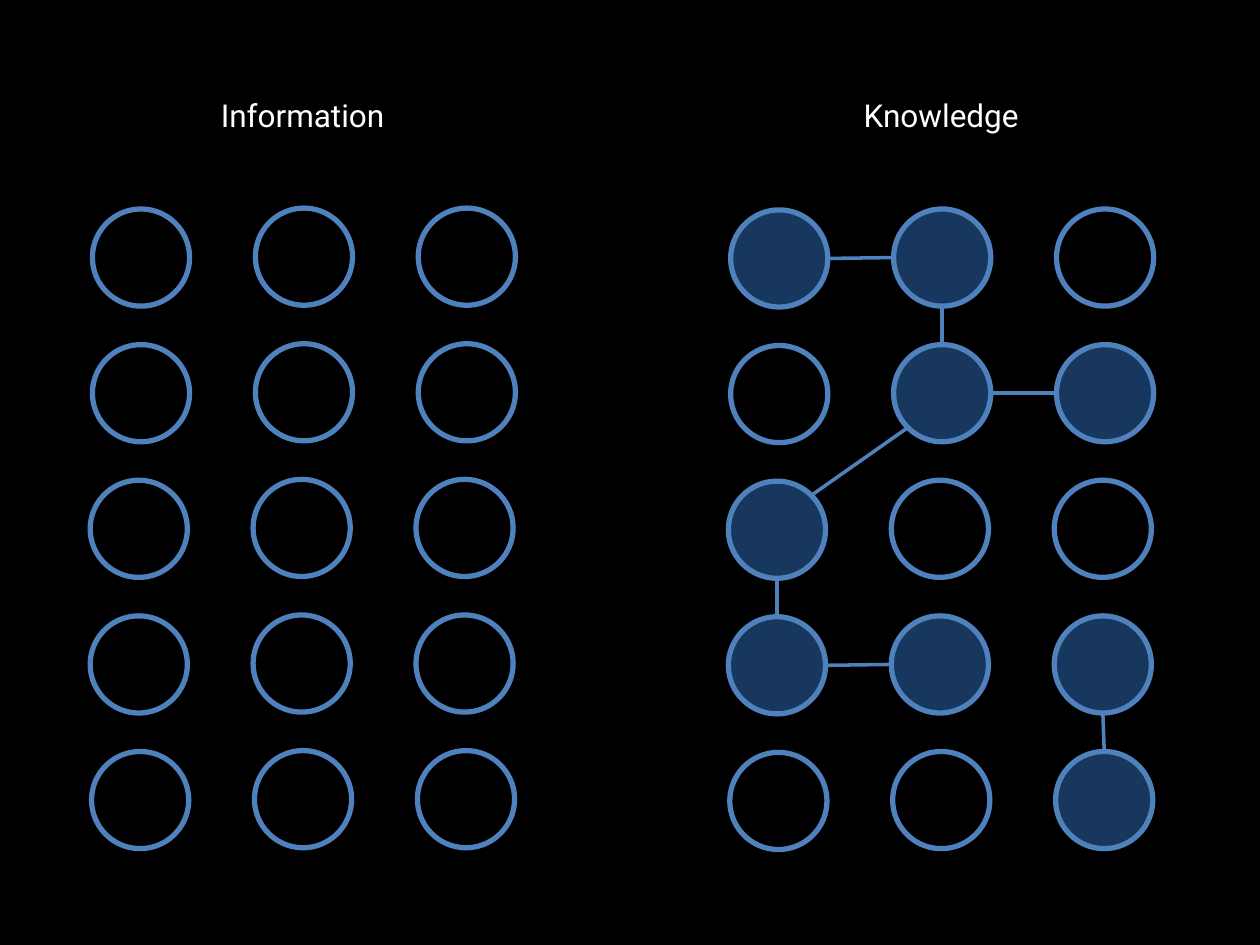
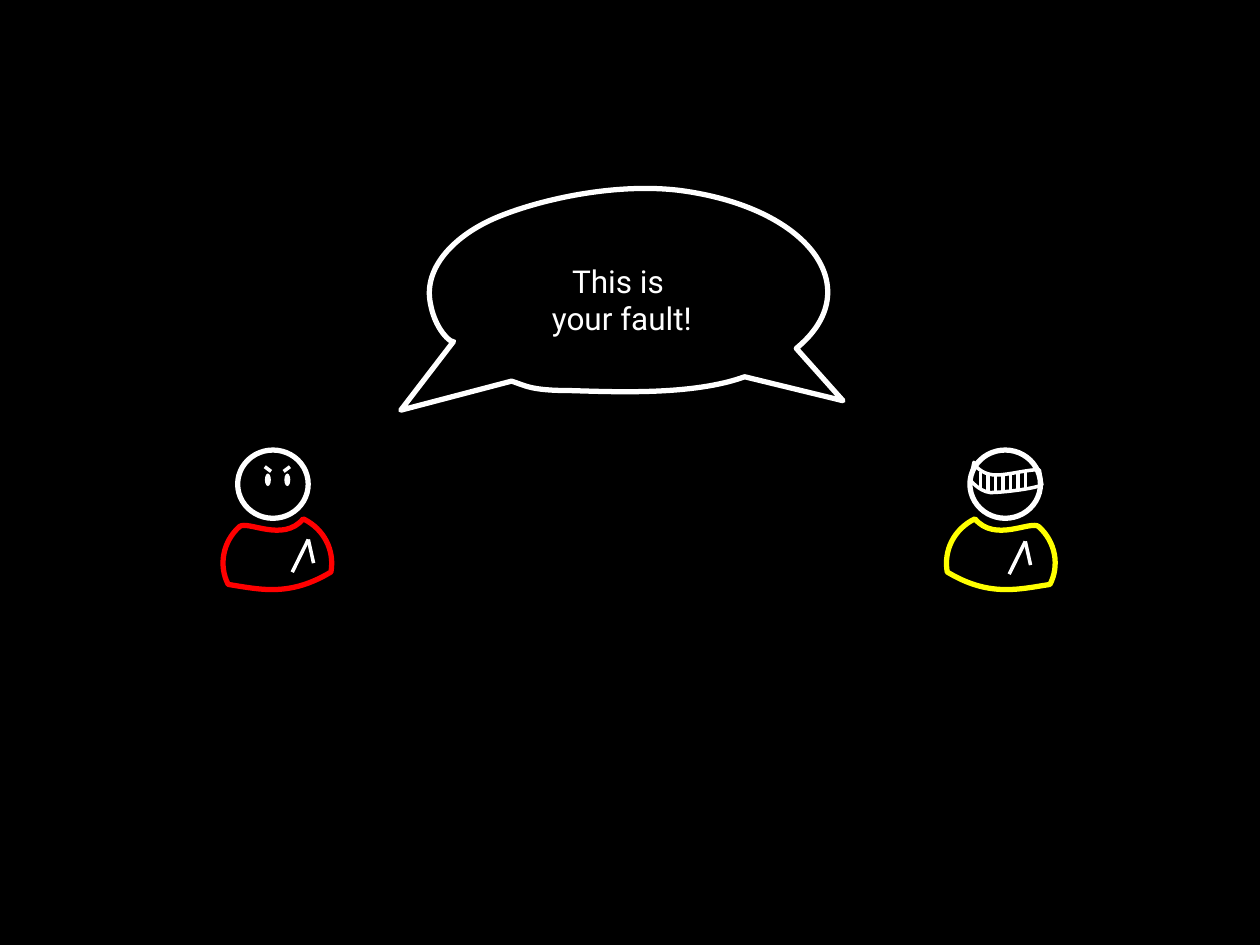
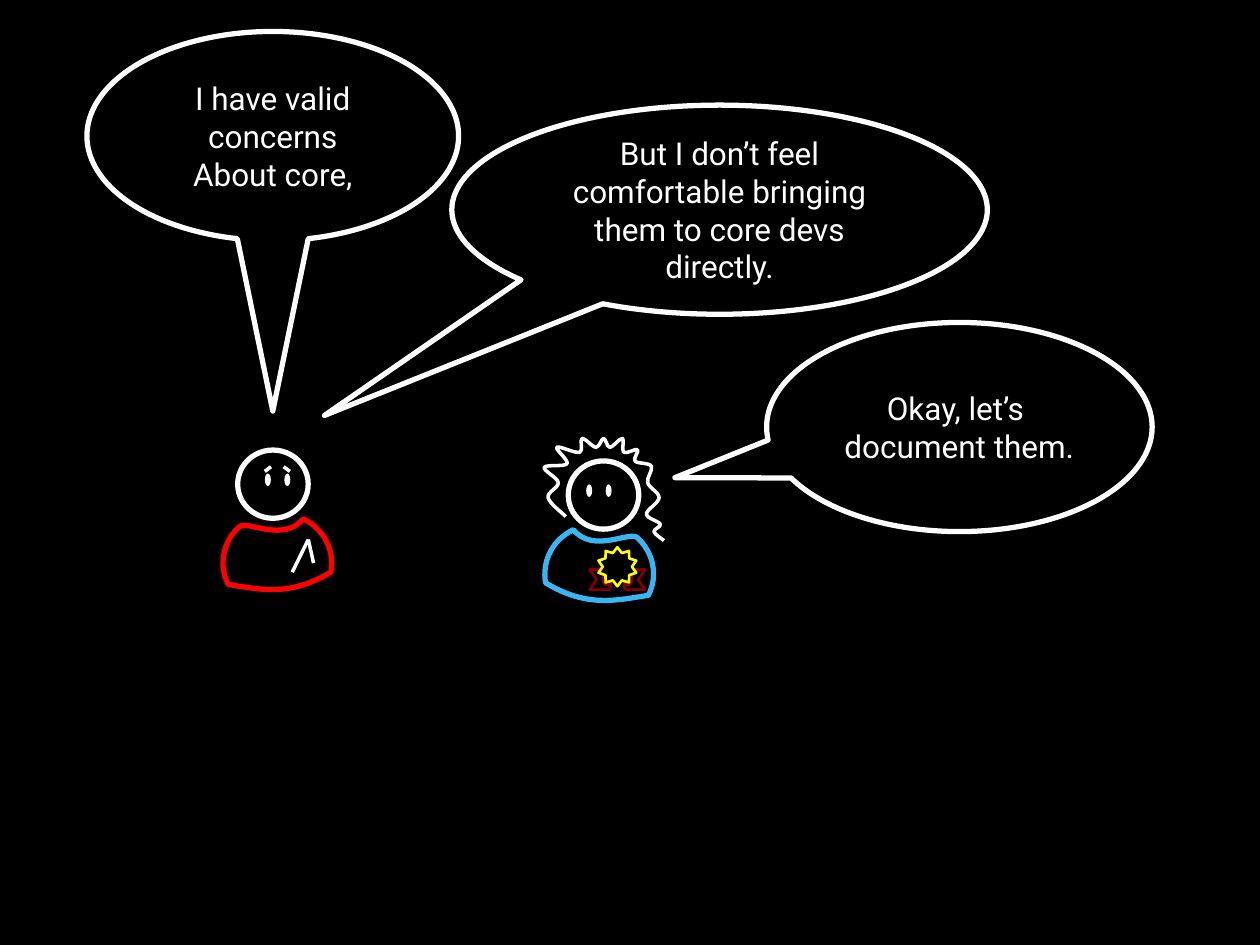
from dataclasses import dataclass
from math import cos, radians, sin
from typing import NamedTuple, Optional

from lxml import etree
from pptx import Presentation
from pptx.dml.color import RGBColor
from pptx.enum.shapes import MSO_CONNECTOR, MSO_SHAPE
from pptx.enum.text import MSO_ANCHOR, PP_ALIGN
from pptx.oxml.ns import qn
from pptx.util import Pt

ELLIPSE = MSO_SHAPE.OVAL
CALLOUT = MSO_SHAPE.OVAL_CALLOUT
RIBBON = MSO_SHAPE.UP_RIBBON
STAR = MSO_SHAPE.STAR_10_POINT
STRAIGHT = MSO_CONNECTOR.STRAIGHT
CENTER = PP_ALIGN.CENTER
MIDDLE = MSO_ANCHOR.MIDDLE


@dataclass(frozen=True)
class Theme:
    background: str = "000000"
    ink: str = "FFFFFF"
    node_line: str = "4F81BD"
    node_fill: str = "17375E"
    red: str = "FF0000"
    yellow: str = "FFFF00"
    blue: str = "39B5F2"
    ribbon: str = "800000"
    font: str = "Roboto"
    text_size: float = 18
    bold_line: float = 3
    fine_line: float = 2
    medal_line: float = 1.5


THEME = Theme()


class Point(NamedTuple):
    x: float
    y: float


class Box(NamedTuple):
    left: float
    top: float
    width: float
    height: float


class Site(NamedTuple):
    row: int
    column: int
    angle: float


@dataclass(frozen=True)
class Panel:
    title: str
    title_left: float
    first_center: Point
    filled: frozenset = frozenset()
    links: tuple = ()


@dataclass(frozen=True)
class Person:
    head: Point
    color: str
    facing: int = 1
    has_eyes: bool = True
    lapel: Optional[Point] = None
    brow_outer: Optional[float] = None
    brow_inner: Optional[float] = None


@dataclass(frozen=True)
class Speech:
    box: Box
    tail: tuple
    paragraphs: tuple


NODE_SIZE = 55.5
COLUMN_STEP = 93.1
ROW_STEP = 77.5
ROW_SHIFTS = (0, 0, -1.3, -1.3, -0.5)
COLUMN_DROPS = (0.5, 0, 0)
RIGHT, DOWN, LEFT, UP = 0, 90, 180, 270

PANELS = (
    Panel("Information", 52.7, Point(80.6, 146.7)),
    Panel(
        "Knowledge", 417.6, Point(445.3, 147.2),
        frozenset({(0, 0), (0, 1), (1, 1), (1, 2), (2, 0),
                   (3, 0), (3, 1), (3, 2), (4, 2)}),
        (
            (Site(0, 0, RIGHT), Site(0, 1, LEFT)),
            (Site(0, 1, DOWN), Site(1, 1, UP)),
            (Site(1, 1, 135), Site(2, 0, 315)),
            (Site(1, 1, RIGHT), Site(1, 2, LEFT)),
            (Site(4, 2, UP), Site(3, 2, DOWN)),
            (Site(2, 0, DOWN), Site(3, 0, UP)),
            (Site(3, 1, LEFT), Site(3, 0, RIGHT)),
        ),
    ),
)

HEAD_WIDTH, HEAD_HEIGHT = 40.3, 39
EYE_WIDTH, EYE_HEIGHT = 3.4, 7.2
EYE_CENTERS = (Point(-8.2, 17), Point(2.9, 17))
BROWS = ((4.7, 1.1), (-9.7, -6.1))
LAPEL_ENDS = (Point(-9.2, 18.7), Point(3, 13.5))

BODY = (
    ((-33.1, 69.7),),
    ((-35.3, 57.5), (-29.4, 45.2), (-17.3, 39.3)),
    ((-5.8, 53.1), (14.4, 40.1), (19.1, 43.7)),
    ((28.8, 52.4), (31.2, 66), (25.6, 76.8)),
    ((7.2, 79.7), (-9.4, 84), (-33.1, 69.7)),
)
VISOR = (
    ((556.6, 264.2),),
    ((557.3, 267.1), (561.6, 270.7), (567.4, 271.4)),
    ((573.8, 272.2), (589, 267.8), (594, 268.6)),
    ((595.4, 277.2),),
    ((590.4, 279.4), (573.1, 281.5), (565.9, 281.5)),
    ((559.4, 280.8), (554.4, 274.3), (554.4, 274.3)),
    ((556.6, 264.2),),
)
VISOR_BAR_TOPS = (269.6, 271.4, 271.4, 271.4, 271.2, 270, 269.3)
VISOR_BAR_LEFT, VISOR_BAR_STEP, VISOR_BAR_HEIGHT = 560.4, 4.25, 9.8
SHARED_BUBBLE = (
    ((481.7, 229),),
    ((425.5, 215.3),),
    ((396, 226.1), (350.6, 223.9), (325.4, 223.2)),
    ((303.1, 223.2), (300.2, 220.3), (292.3, 217.8)),
    ((229, 234.4),),
    ((259.2, 195.1),),
    ((258.5, 196.6), (247.7, 188.6), (245.5, 170.6)),
    ((243.4, 151.9), (259.9, 134.6), (283, 124.6)),
    ((306.7, 114.5), (349.9, 104.4), (387.4, 108.7)),
    ((462.2, 118.1), (496.8, 164.9), (455, 199.1)),
    ((481.7, 229),),
)
HAIR = (
    (323.3, 295.2), (313.2, 284.4), (319, 275.8), (311, 267.1), (324, 265),
    (318.2, 255.6), (331.2, 258.5), (332.6, 250.6), (340.6, 255.6),
    (344.9, 250.6), (348.5, 255.6), (355.7, 250.6), (356.4, 258.5),
    (364.3, 257), (362.9, 263.5), (372.2, 266.4), (370.1, 275.8),
    (376.6, 284.4), (369.4, 293.8), (377.3, 299.5), (373.7, 303.8),
    (379.4, 308.9),
)

RED_HEAD = Point(156, 257.2)
RED_LAPEL = Point(176.2, 308.3)
ANGRY = Person(RED_HEAD, THEME.red, -1, True, RED_LAPEL, 9.5, 12.2)
WORRIED = Person(RED_HEAD, THEME.red, -1, True, RED_LAPEL, 12.2, 9.5)
VISORED = Person(Point(574.4, 257.2), THEME.yellow, 1, False, Point(585.9, 309.4))
LISTENER = Person(Point(344.9, 263.4), THEME.blue)

SPEECHES = (
    Speech(Box(49.7, 18, 212.4, 119.5), (0, 1.315),
           ("I have valid\nconcerns", "About core,")),
    Speech(Box(258.2, 60.1, 306, 119.5), (-0.738, 0.984),
           ("But I don’t feel", "comfortable bringing",
            "them to core devs", "directly.")),
    Speech(Box(438.1, 184.3, 220.3, 119.5), (-0.738, 0.242),
           ("Okay, let’s \ndocument them.",)),
)


def style_shape(shape, line: Optional[str] = None,
                weight: float = THEME.bold_line,
                fill: Optional[str] = None) -> None:
    shape.shadow.inherit = False
    if fill:
        shape.fill.solid()
        shape.fill.fore_color.rgb = RGBColor.from_string(fill)
    else:
        shape.fill.background()
    if line:
        shape.line.color.rgb = RGBColor.from_string(line)
        shape.line.width = Pt(weight)
    else:
        shape.line.fill.background()


def add_preset(shapes, kind, box: Box, line: Optional[str] = None,
               weight: float = THEME.bold_line, fill: Optional[str] = None,
               adjustments: tuple = ()):
    shape = shapes.add_shape(kind, *(Pt(length) for length in box))
    style_shape(shape, line, weight, fill)
    for index, value in enumerate(adjustments):
        shape.adjustments[index] = value
    return shape


def add_ellipse(shapes, center: Point, width: float, height: float,
                line: Optional[str] = None, fill: Optional[str] = None) -> None:
    box = Box(center.x - width / 2, center.y - height / 2, width, height)
    add_preset(shapes, ELLIPSE, box, line, fill=fill)


def add_line(shapes, begin: Point, end: Point, color: str = THEME.ink) -> None:
    connector = shapes.add_connector(
        STRAIGHT, Pt(begin.x), Pt(begin.y), Pt(end.x), Pt(end.y))
    connector.line.color.rgb = RGBColor.from_string(color)
    connector.line.width = Pt(THEME.fine_line)
    etree.SubElement(connector.element.spPr, qn("a:effectLst"))


def sample(segments: tuple, steps: int = 16) -> list[Point]:
    points = [Point(*segments[0][0])]
    for segment in segments[1:]:
        if len(segment) == 1:
            points.append(Point(*segment[0]))
            continue
        controls = (points[-1], *segment)
        for step in range(1, steps + 1):
            t = step / steps
            weights = ((1 - t) ** 3, 3 * t * (1 - t) ** 2,
                       3 * t ** 2 * (1 - t), t ** 3)
            points.append(Point(*(
                sum(weight * control[axis]
                    for weight, control in zip(weights, controls))
                for axis in (0, 1))))
    return points


def smooth_through(points: tuple) -> tuple:
    padded = (points[0], *points, points[-1])
    segments = [(points[0],)]
    for before, start, end, after in zip(padded, padded[1:], padded[2:], padded[3:]):
        leave = tuple(s + (e - b) / 6 for b, s, e in zip(before, start, end))
        arrive = tuple(e - (a - s) / 6 for s, e, a in zip(start, end, after))
        segments.append((leave, arrive, end))
    return tuple(segments)


def add_outline(shapes, segments: tuple, color: str = THEME.ink,
                weight: float = THEME.bold_line, close: bool = True):
    vertices = [(Pt(x), Pt(y)) for x, y in sample(segments)]
    builder = shapes.build_freeform(*vertices[0])
    builder.add_line_segments(vertices[1:], close=close)
    shape = builder.convert_to_shape()
    style_shape(shape, color, weight)
    left = min(x for x, _ in vertices)
    top = min(y for _, y in vertices)
    outline = next(shape.element.iter(qn("a:path")))
    for command in list(outline):
        outline.remove(command)
    for index, segment in enumerate(segments):
        tag = "a:cubicBezTo" if len(segment) == 3 else "a:lnTo"
        command = etree.SubElement(outline, qn(tag if index else "a:moveTo"))
        for x, y in segment:
            etree.SubElement(command, qn("a:pt"),
                             x=str(Pt(x) - left), y=str(Pt(y) - top))
    if close:
        etree.SubElement(outline, qn("a:close"))
    return shape


def write_text(frame, paragraphs: tuple) -> None:
    for index, text in enumerate(paragraphs):
        paragraph = frame.paragraphs[0] if index == 0 else frame.add_paragraph()
        paragraph.alignment = CENTER
        for line_index, line in enumerate(text.split("\n")):
            if line_index:
                paragraph.add_line_break()
            run = paragraph.add_run()
            run.text = line
            run.font.name = THEME.font
            run.font.size = Pt(THEME.text_size)
            run.font.color.rgb = RGBColor.from_string(THEME.ink)


def write_in_bubble(shape, paragraphs: tuple, wrap: bool) -> None:
    frame = shape.text_frame
    frame.margin_left = frame.margin_right = Pt(0)
    frame.margin_top = frame.margin_bottom = Pt(0)
    frame.vertical_anchor = MIDDLE
    frame.word_wrap = wrap
    write_text(frame, paragraphs)


def node_center(panel: Panel, row: int, column: int) -> Point:
    return Point(
        panel.first_center.x + column * COLUMN_STEP + ROW_SHIFTS[row],
        panel.first_center.y + row * ROW_STEP + COLUMN_DROPS[column])


def site_point(panel: Panel, site: Site) -> Point:
    center = node_center(panel, site.row, site.column)
    angle = radians(site.angle)
    return Point(center.x + NODE_SIZE / 2 * cos(angle),
                 center.y + NODE_SIZE / 2 * sin(angle))


def add_panel(shapes, panel: Panel) -> None:
    title = shapes.add_textbox(Pt(panel.title_left), Pt(51.1), Pt(240.5), Pt(29))
    title.text_frame.word_wrap = True
    write_text(title.text_frame, (panel.title,))
    for row in range(len(ROW_SHIFTS)):
        for column in range(len(COLUMN_DROPS)):
            fill = THEME.node_fill if (row, column) in panel.filled else None
            add_ellipse(shapes, node_center(panel, row, column),
                        NODE_SIZE, NODE_SIZE, THEME.node_line, fill)
    for begin, end in panel.links:
        add_line(shapes, site_point(panel, begin), site_point(panel, end),
                 THEME.node_line)


def add_person(shapes, person: Person) -> None:
    def place(x: float, y: float) -> Point:
        return Point(person.head.x + person.facing * x, person.head.y + y)

    body = tuple(tuple(place(*point) for point in segment) for segment in BODY)
    add_outline(shapes, body, person.color)
    add_ellipse(shapes, place(0, HEAD_HEIGHT / 2), HEAD_WIDTH, HEAD_HEIGHT, THEME.ink)
    if person.has_eyes:
        for eye in EYE_CENTERS:
            add_ellipse(shapes, place(*eye), EYE_WIDTH, EYE_HEIGHT, fill=THEME.ink)
    if person.lapel:
        for end in LAPEL_ENDS:
            add_line(shapes, person.lapel,
                     Point(person.lapel.x + end.x, person.lapel.y + end.y))
    if person.brow_outer is not None:
        for outer, inner in BROWS:
            add_line(shapes, place(outer, person.brow_outer),
                     place(inner, person.brow_inner))


def add_visor(shapes) -> None:
    add_outline(shapes, VISOR, weight=THEME.fine_line)
    for index, top in enumerate(VISOR_BAR_TOPS):
        x = VISOR_BAR_LEFT + index * VISOR_BAR_STEP
        add_line(shapes, Point(x, top), Point(x, top + VISOR_BAR_HEIGHT))


def add_medal(shapes) -> None:
    add_preset(shapes, RIBBON, Box(337, 319.7, 31.7, 17.3), THEME.ribbon,
               THEME.medal_line, adjustments=(0.333, 0.5))
    add_preset(shapes, STAR, Box(342, 312.7, 21.6, 22.3), THEME.yellow,
               THEME.medal_line, THEME.background, (0.368,))


def add_speech(shapes, speech: Speech) -> None:
    bubble = add_preset(shapes, CALLOUT, speech.box, THEME.ink,
                        adjustments=speech.tail)
    write_in_bubble(bubble, speech.paragraphs, False)


def add_dark_slide(presentation):
    slide = presentation.slides.add_slide(presentation.slide_layouts[6])
    slide.background.fill.solid()
    slide.background.fill.fore_color.rgb = RGBColor.from_string(THEME.background)
    return slide


def build_knowledge_slide(presentation) -> None:
    slide = add_dark_slide(presentation)
    for panel in PANELS:
        add_panel(slide.shapes, panel)


def build_blame_slide(presentation) -> None:
    shapes = add_dark_slide(presentation).shapes
    add_person(shapes.add_group_shape().shapes, ANGRY)
    visored_group = shapes.add_group_shape()
    add_person(visored_group.shapes, VISORED)
    add_visor(visored_group.shapes)
    bubble = add_outline(shapes, SHARED_BUBBLE)
    write_in_bubble(bubble, ("This is \nyour fault!",), True)


def build_concerns_slide(presentation) -> None:
    shapes = add_dark_slide(presentation).shapes
    add_medal(shapes.add_group_shape().shapes)
    add_person(shapes, LISTENER)
    add_person(shapes.add_group_shape().shapes, WORRIED)
    add_outline(shapes, smooth_through(HAIR), weight=THEME.fine_line, close=False)
    for speech in SPEECHES:
        add_speech(shapes, speech)


def main() -> None:
    presentation = Presentation()
    presentation.slide_width = Pt(720)
    presentation.slide_height = Pt(540)
    build_knowledge_slide(presentation)
    build_blame_slide(presentation)
    build_concerns_slide(presentation)
    presentation.save("out.pptx")


if __name__ == "__main__":
    main()
